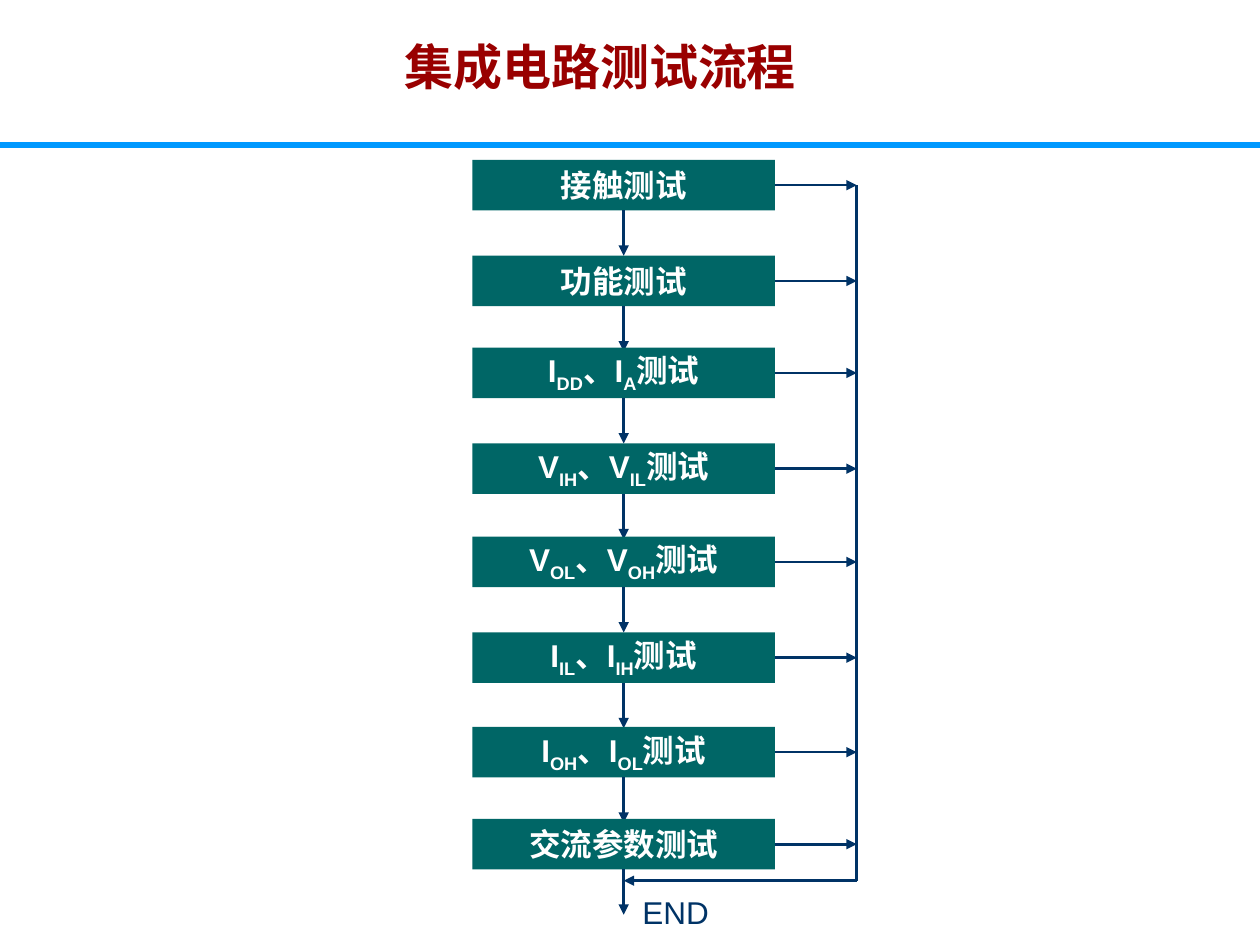
from pptx import Presentation
from pptx.dml.color import RGBColor
from pptx.enum.shapes import MSO_CONNECTOR, MSO_SHAPE
from pptx.enum.text import MSO_ANCHOR, MSO_AUTO_SIZE, PP_ALIGN
from pptx.oxml.ns import qn
from pptx.util import Inches, Pt
from lxml.etree import SubElement

NAVY, TEAL, WHITE, RED, BLUE = "003366", "006666", "FFFFFF", "990000", "0099FF"
CJK = "Noto Sans CJK SC"


def add_line(start, end, color=NAVY, width=1.5, arrow=True):
    line = page.shapes.add_connector(
        MSO_CONNECTOR.STRAIGHT, *[Inches(v) for v in (*start, *end)])
    line.line.color.rgb = RGBColor.from_string(color)
    line.line.width = Pt(width)
    if arrow:
        SubElement(line.line._get_or_add_ln(), qn("a:tailEnd"), type="triangle")
    SubElement(line._element.spPr, qn("a:effectLst"))


def add_span(para, text, color, size=18, bold=True, latin="Arial", baseline=0):
    span = para.add_run()
    span.text = text
    looks = {"size": Pt(size), "bold": bold, "name": latin}
    for name, value in looks.items():
        setattr(span.font, name, value)
    span.font.color.rgb = RGBColor.from_string(color)
    props = span._r.get_or_add_rPr()
    SubElement(props, qn("a:ea"), typeface=CJK)
    if baseline:
        props.set("baseline", str(baseline * 1000))


deck = Presentation()
deck.slide_width, deck.slide_height = Inches(10), Inches(7.5)
page = deck.slides.add_slide(deck.slide_layouts[5])

# Title and rule
title = page.shapes.title
place = {"left": 3.11, "top": 0.11, "width": 6.6, "height": 0.7}
for name, value in place.items():
    setattr(title, name, Inches(value))
title.text_frame.auto_size = MSO_AUTO_SIZE.NONE
title.text_frame.vertical_anchor = MSO_ANCHOR.BOTTOM
para = title.text_frame.paragraphs[0]
para.alignment = PP_ALIGN.LEFT
para.line_spacing = 0.9
add_span(para, "集成电路测试流程", RED, size=28, latin=CJK)
add_line((0, 1.15), (10, 1.15), BLUE, 3, arrow=False)

# Test steps: every second part of a label is a subscript
steps = [
    (1.27, ["接触测试"]),
    (2.03, ["功能测试"]),
    (2.76, ["I", "DD", "、I", "A", "测试"]),
    (3.52, ["V", "IH", "、V", "IL", "测试"]),
    (4.26, ["V", "OL", "、V", "OH", "测试"]),
    (5.02, ["I", "IL", "、I", "IH", "测试"]),
    (5.77, ["I", "OH", "、I", "OL", "测试"]),
    (6.5, ["交流参数测试"]),
]
left, width, height = 3.75, 2.4, 0.4
right, center, bus = left + width, left + width / 2, 6.8
for top, parts in steps:
    box = page.shapes.add_shape(MSO_SHAPE.RECTANGLE, Inches(left), Inches(top),
                                Inches(width), Inches(height))
    box.shadow.inherit = False
    box.fill.solid()
    box.fill.fore_color.rgb = RGBColor.from_string(TEAL)
    box.line.fill.background()
    box.text_frame.vertical_anchor = MSO_ANCHOR.MIDDLE
    para = box.text_frame.paragraphs[0]
    para.alignment = PP_ALIGN.CENTER
    for index, part in enumerate(parts):
        add_span(para, part, WHITE, baseline=-25 * (index % 2))
    bottom, middle = top + height, top + height / 2
    add_line((center, bottom), (center, bottom + 0.36))
    add_line((right, middle), (bus, middle))

# Exit path shared by all steps
add_line((bus, 1.47), (bus, 6.99), arrow=False)
add_line((bus, 6.99), (center, 6.99))
end = page.shapes.add_textbox(Inches(5), Inches(7.04), Inches(1.04), Inches(0.4))
end.text_frame.word_wrap = True
add_span(end.text_frame.paragraphs[0], "END", NAVY, bold=False)

deck.save("out.pptx")
